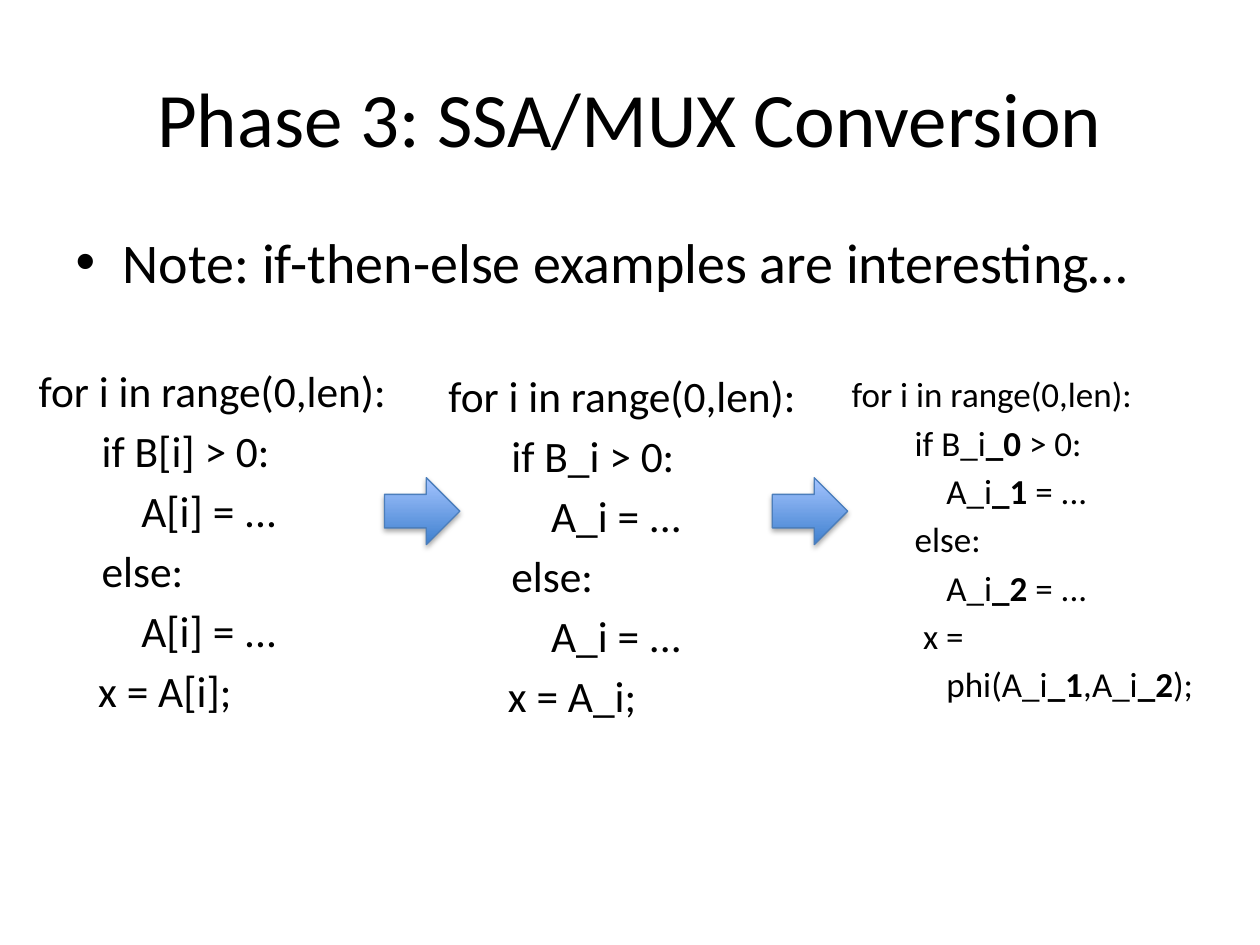
from lxml.etree import SubElement
from pptx import Presentation
from pptx.dml.color import RGBColor
from pptx.enum.shapes import MSO_SHAPE
from pptx.enum.text import MSO_ANCHOR, PP_ALIGN
from pptx.oxml.ns import qn
from pptx.util import Cm, Pt

FONT = "Calibri"
BLACK = "000000"
LOOP = "for i in range(0,len):"

# Each code line is an indent level and its spans; odd spans are bold.
ARRAY_CODE = [
    ("loop", [LOOP]),
    ("branch", ["if B[i] > 0:"]),
    ("assign", ["A[i] = ..."]),
    ("branch", ["else:"]),
    ("assign", ["A[i] = ..."]),
    ("result", ["x = A[i];"]),
]
SCALAR_CODE = [
    (level, [text.replace("[i]", "_i") for text in spans])
    for level, spans in ARRAY_CODE
]
SSA_CODE = [
    ("loop", [LOOP]),
    ("branch", ["if B_i", "_0 ", "> 0:"]),
    ("assign", ["A_i", "_1 ", "= ..."]),
    ("branch", ["else:"]),
    ("assign", ["A_i", "_2 ", "= ..."]),
    ("result", ["x ="]),
    ("assign", ["phi(A_i", "_1", ",A_i", "_2", ");"]),
]
WIDE_INDENTS = {"loop": 0, "branch": 1.27, "assign": 2.07, "result": 1.2}
NARROW_INDENTS = {"loop": 0, "branch": 1.27, "assign": 1.91, "result": 1.44}


def color(value):
    return RGBColor.from_string(value)


def set_format(target, values):
    for name, value in values.items():
        setattr(target, name, value)


def place(shape, left, top, width, height):
    set_format(shape, {"left": Cm(left), "top": Cm(top),
                       "width": Cm(width), "height": Cm(height)})


def add_span(para, text, size, bold=False):
    span = para.add_run()
    span.text = text
    set_format(span.font, {"name": FONT, "size": Pt(size), "bold": bold})
    span.font.color.rgb = color(BLACK)


def fill_placeholder(holder, text, size, bounds, **para_format):
    place(holder, *bounds)
    para = holder.text_frame.paragraphs[0]
    set_format(para, para_format)
    add_span(para, text, size)


def add_code(page, lines, size, indents, bounds):
    box = page.shapes.add_textbox(*(Cm(length) for length in bounds))
    frame = box.text_frame
    frame.word_wrap = True
    for index, (level, spans) in enumerate(lines):
        para = frame.add_paragraph() if index else frame.paragraphs[0]
        para.space_before = Pt(round(size * 0.18, 1))
        para._p.get_or_add_pPr().set("marL", str(Cm(indents[level])))
        for position, text in enumerate(spans):
            add_span(para, text, size, bold=position % 2 == 1)


def add_shadow(shape):
    shape.shadow.inherit = False
    effects = shape._element.spPr.find(qn("a:effectLst"))
    shadow = SubElement(effects, qn("a:outerShdw"), blurRad=str(Pt(3.1)),
                        dist=str(Pt(1.8)), dir="5400000", rotWithShape="0")
    shade = SubElement(shadow, qn("a:srgbClr"), val=BLACK)
    SubElement(shade, qn("a:alpha"), val="35000")


def add_arrow(page, left):
    arrow = page.shapes.add_shape(
        MSO_SHAPE.RIGHT_ARROW, Cm(left), Cm(9.63), Cm(1.52), Cm(1.35))
    arrow.fill.gradient()
    arrow.fill.gradient_angle = 90
    for stop, value in zip(arrow.fill.gradient_stops, ("3F80CE", "A4C4FF")):
        stop.color.rgb = color(value)
    arrow.line.color.rgb = color("4B7EBC")
    arrow.line.width = Pt(0.75)
    add_shadow(arrow)


def main():
    deck = Presentation()
    set_format(deck, {"slide_width": Cm(25.4), "slide_height": Cm(19.05)})
    page = deck.slides.add_slide(deck.slide_layouts[1])

    # Title and note
    title, body = page.placeholders
    fill_placeholder(title, "Phase 3: SSA/MUX Conversion", 44,
                     (1.27, 0.76, 22.86, 3.18), alignment=PP_ALIGN.CENTER)
    title.text_frame.vertical_anchor = MSO_ANCHOR.MIDDLE
    fill_placeholder(body, "Note: if-then-else examples are interesting…", 32,
                     (1.27, 4.45, 22.86, 12.57))

    # Code before, between and after the conversions
    add_code(page, ARRAY_CODE, 24.8, WIDE_INDENTS, (0.53, 7.21, 7.98, 6.76))
    add_code(page, SCALAR_CODE, 24.8, WIDE_INDENTS, (8.79, 7.32, 8.1, 7.52))
    add_code(page, SSA_CODE, 20, NARROW_INDENTS, (16.92, 7.39, 8.13, 6.55))

    # Conversion steps
    for left in (7.75, 15.57):
        add_arrow(page, left)

    deck.save("out.pptx")


main()
